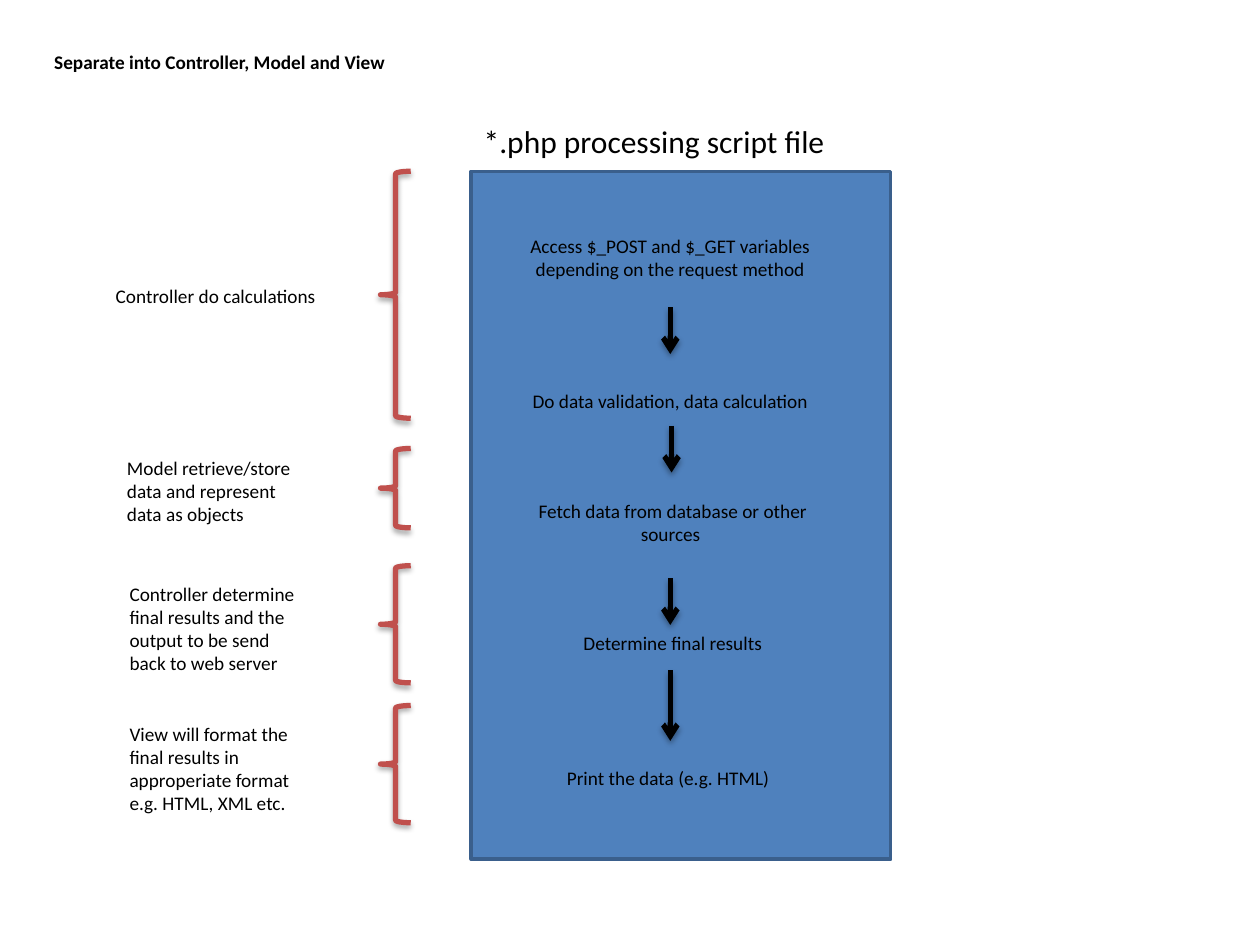
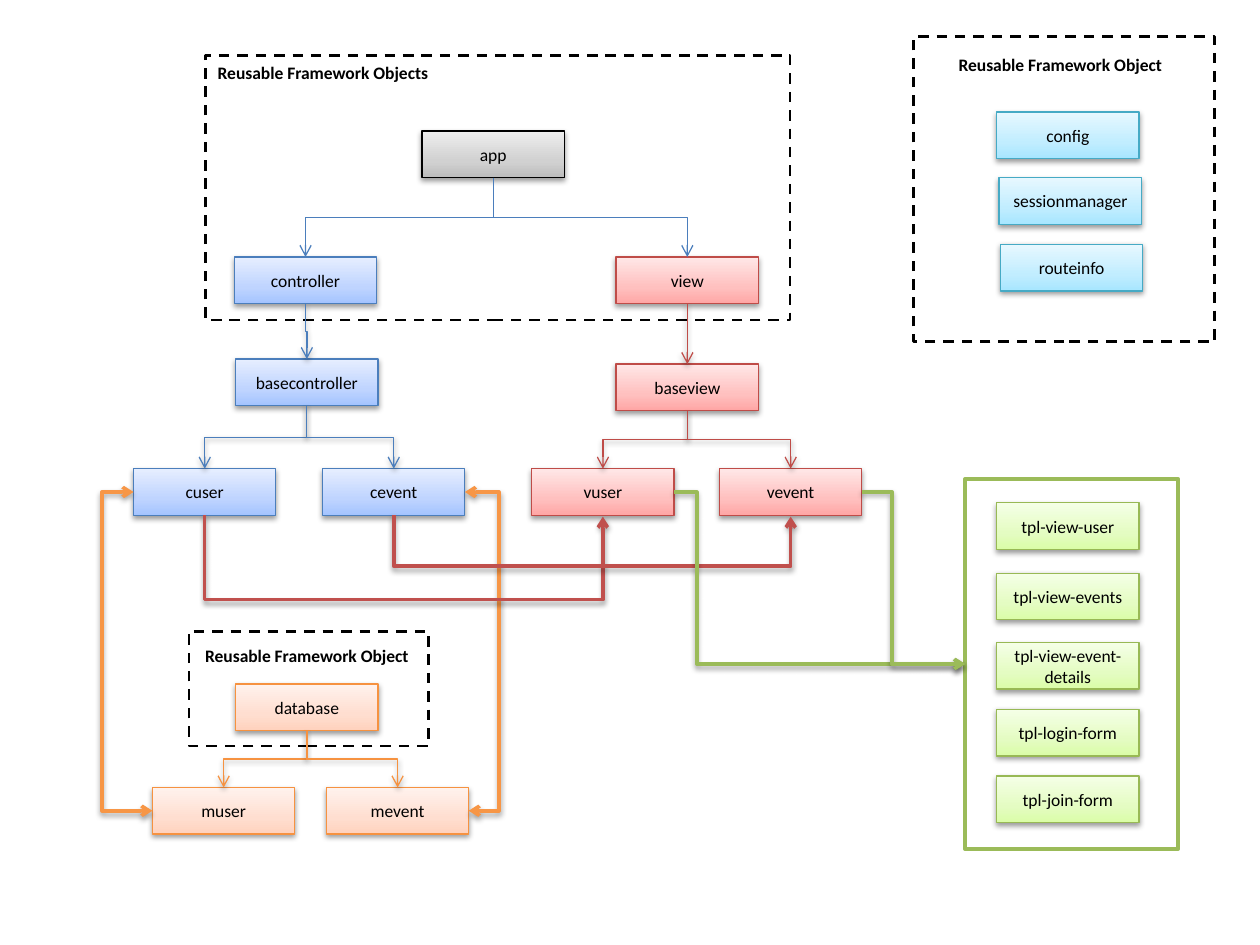
"""Build two slides on splitting a PHP script into controller, model and view."""
from copy import deepcopy

from lxml.etree import SubElement
from pptx import Presentation
from pptx.dml.color import RGBColor
from pptx.enum.dml import MSO_LINE
from pptx.enum.shapes import MSO_CONNECTOR as LINK, MSO_SHAPE as SHAPE
from pptx.enum.text import MSO_ANCHOR, MSO_AUTO_SIZE, PP_ALIGN
from pptx.oxml.ns import qn
from pptx.util import Inches, Pt

COLORS = {
    "black": "000000", "white": "FFFFFF",
    "script": "4F81BD", "script edge": "3A5F8C",
    "red": "C0504D", "green": "9BBB59", "orange": "F79646",
    "blue edge": "4B7EBC", "red edge": "BF4C48", "orange edge": "F69240",
    "cyan edge": "46AAC5", "green edge": "98B955",
}
GRADIENTS = {
    "black": ("BDBDBD", "D1D1D1", "EEEEEE"),
    "blue edge": ("A4C4FF", "BFD4FF", "E6EEFF"),
    "red edge": ("FFA6A5", "FFC0BF", "FFE7E7"),
    "orange edge": ("FFD2BD", "FFDED0", "FFF2ED"),
    "cyan edge": ("A7E6FF", "C1EDFF", "E7F8FF"),
    "green edge": ("DAFDA7", "E4FCC2", "F5FFE7"),
}
STOPS = (0, 0.35, 1)
STRONG = {"alpha": "35000", "dist": "23000"}
SOFT = {"alpha": "38000", "dist": "20000"}
TOP, LEFT, BOTTOM, RIGHT = range(4)


def write(box, text, size, bold=False, align=PP_ALIGN.LEFT, **frame_format):
    frame = box.text_frame
    for name, value in frame_format.items():
        setattr(frame, name, value)
    para = frame.paragraphs[0]
    para.alignment = align
    span = para.add_run()
    span.text = text
    for name, value in {"name": "Calibri", "size": Pt(size), "bold": bold}.items():
        setattr(span.font, name, value)
    span.font.color.rgb = RGBColor.from_string(COLORS["black"])


def outline(shape, color, width, shadow=None, ends=()):
    shape.line.color.rgb = RGBColor.from_string(COLORS[color])
    shape.line.width = Pt(width)
    properties = shape.element.spPr
    for end in ends:
        SubElement(properties.find(qn("a:ln")), qn(f"a:{end}"), type="arrow")
    effects = SubElement(properties, qn("a:effectLst"))
    if shadow:
        outer = SubElement(effects, qn("a:outerShdw"), blurRad="40000",
                           dist=shadow["dist"], dir="5400000", rotWithShape="0")
        black = SubElement(outer, qn("a:srgbClr"), val=COLORS["black"])
        SubElement(black, qn("a:alpha"), val=shadow["alpha"])


deck = Presentation()
deck.slide_width, deck.slide_height = Inches(10), Inches(7.5)
GROW = {"auto_size": MSO_AUTO_SIZE.SHAPE_TO_FIT_TEXT}

page = deck.slides.add_slide(deck.slide_layouts[5])
title = page.shapes.title
place = {"left": 0.33, "top": 0.35, "width": 2.87, "height": 0.29}
for name, value in place.items():
    setattr(title, name, Inches(value))
write(title, "Separate into Controller, Model and View", 11, bold=True,
      word_wrap=False, vertical_anchor=MSO_ANCHOR.TOP, **GROW)

script = page.shapes.add_shape(
    SHAPE.RECTANGLE, Inches(3.74), Inches(1.36), Inches(3.33), Inches(5.46))
script.fill.solid()
script.fill.fore_color.rgb = RGBColor.from_string(COLORS["script"])
outline(script, "script edge", 2)

heading = page.shapes.add_textbox(
    Inches(3.74), Inches(0.92), Inches(2.94), Inches(0.4))
write(heading, "*.php processing script file", 18, word_wrap=False, **GROW)

steps = [
    (4.04, 1.81, 0.47, "Access $_POST and $_GET variables depending on the request method"),
    (4.04, 3.04, 0.29, "Do data validation, data calculation"),
    (4.06, 3.91, 0.47, "Fetch data from database or other sources "),
    (4.06, 4.96, 0.29, "Determine final results"),
    (4.04, 6.03, 0.29, "Print the data (e.g. HTML) "),
]
for left, top, height, text in steps:
    box = page.shapes.add_textbox(
        Inches(left), Inches(top), Inches(2.56), Inches(height))
    write(box, text, 11, align=PP_ALIGN.CENTER, word_wrap=True, **GROW)

for x, start, end in [(5.32, 2.44, 2.81), (5.33, 3.38, 3.75),
                      (5.32, 4.59, 4.96), (5.32, 5.32, 5.88)]:
    arrow = page.shapes.add_connector(
        LINK.STRAIGHT, Inches(x), Inches(start), Inches(x), Inches(end))
    outline(arrow, "black", 3, STRONG, ["tailEnd"])

for top, height in [(1.36, 1.96), (3.56, 0.63), (4.49, 0.93), (5.6, 0.93)]:
    brace = page.shapes.add_shape(
        SHAPE.LEFT_BRACE, Inches(3.02), Inches(top), Inches(0.24), Inches(height))
    brace.fill.background()
    outline(brace, "red", 3, STRONG)

roles = [
    (0.82, 2.21, 1.8, 0.29, False, "Controller do calculations"),
    (0.91, 3.57, 1.63, 0.66, True, "Model retrieve/store data and represent data as objects"),
    (0.93, 4.57, 1.63, 0.84, True,
     "Controller determine final results and the output to be send back to web server"),
    (0.93, 5.68, 1.63, 0.84, True,
     "View will format the final results in approperiate format e.g. HTML, XML etc."),
]
for left, top, width, height, wrap, text in roles:
    box = page.shapes.add_textbox(
        Inches(left), Inches(top), Inches(width), Inches(height))
    write(box, text, 11, word_wrap=wrap, **GROW)

page = deck.slides.add_slide(deck.slide_layouts[6])
parts = {}
frames = [
    ("models", 1.5, 5.01, 1.9, 0.91, "black", 1.5),
    ("helpers", 7.25, 0.29, 2.39, 2.42, "black", 1.5),
    ("core", 1.63, 0.44, 4.64, 2.1, "black", 1.5),
    ("templates", 7.66, 3.8, 1.69, 2.94, "green", 2),
]
for name, left, top, width, height, color, weight in frames:
    frame = page.shapes.add_shape(
        SHAPE.RECTANGLE, Inches(left), Inches(top), Inches(width), Inches(height))
    frame.fill.solid()
    frame.fill.fore_color.rgb = RGBColor.from_string(COLORS["white"])
    if color == "black":
        frame.line.dash_style = MSO_LINE.DASH
    outline(frame, color, weight)
    parts[name] = frame

nodes = {
    "black": [("app", 3.35, 1.04)],
    "blue edge": [("controller", 1.86, 2.04), ("basecontroller", 1.87, 2.85),
                  ("cuser", 1.06, 3.72), ("cevent", 2.56, 3.72)],
    "red edge": [("view", 4.89, 2.04), ("baseview", 4.89, 2.89),
                 ("vuser", 4.22, 3.72), ("vevent", 5.71, 3.72)],
    "orange edge": [("database", 1.87, 5.43), ("muser", 1.21, 6.25),
                    ("mevent", 2.59, 6.25)],
    "cyan edge": [("config", 7.91, 0.89), ("sessionmanager", 7.93, 1.41),
                  ("routeinfo", 7.94, 1.94)],
    "green edge": [("tpl-view-user", 7.91, 3.99), ("tpl-view-events", 7.91, 4.55),
                   ("tpl-view-event-details", 7.91, 5.1),
                   ("tpl-login-form", 7.91, 5.63), ("tpl-join-form", 7.91, 6.16)],
}
for color, group in nodes.items():
    for name, left, top in group:
        node = page.shapes.add_shape(
            SHAPE.RECTANGLE, Inches(left), Inches(top), Inches(1.13), Inches(0.37))
        node.fill.gradient()
        node.fill.gradient_angle = 90
        stop_list = node.element.spPr.find(".//" + qn("a:gsLst"))
        stop_list.insert(1, deepcopy(stop_list[0]))
        for stop, position, shade in zip(node.fill.gradient_stops, STOPS, GRADIENTS[color]):
            stop.position = position
            stop.color.rgb = RGBColor.from_string(shade)
        outline(node, color, 0.75, SOFT)
        write(node, name, 10, align=PP_ALIGN.CENTER, word_wrap=True,
              vertical_anchor=MSO_ANCHOR.MIDDLE)
        parts[name] = node

tree = [
    ("app", "controller", "blue edge", None), ("app", "view", "blue edge", None),
    ("controller", "basecontroller", "blue edge", SOFT),
    ("view", "baseview", "red edge", SOFT),
    ("basecontroller", "cuser", "blue edge", SOFT),
    ("basecontroller", "cevent", "blue edge", SOFT),
    ("baseview", "vuser", "red edge", SOFT), ("baseview", "vevent", "red edge", SOFT),
    ("database", "muser", "orange edge", SOFT),
    ("database", "mevent", "orange edge", SOFT),
]
ONE_WAY, TWO_WAY = ["tailEnd"], ["headEnd", "tailEnd"]
links = [(a, BOTTOM, b, TOP, None, color, 0.75, shadow, ONE_WAY)
         for a, b, color, shadow in tree]
links += [(a, from_site, b, to_site, bend, color, 2, SOFT, ends)
          for a, from_site, b, to_site, bend, color, ends in [
              ("cuser", LEFT, "muser", LEFT, 0.81, "orange", TWO_WAY),
              ("cevent", RIGHT, "mevent", RIGHT, 3.96, "orange", TWO_WAY),
              ("cuser", BOTTOM, "vuser", BOTTOM, 4.77, "red", ONE_WAY),
              ("cevent", BOTTOM, "vevent", BOTTOM, 4.5, "red", ONE_WAY),
              ("vuser", RIGHT, "templates", LEFT, 5.53, "green", ONE_WAY),
              ("vevent", RIGHT, "templates", LEFT, 7.08, "green", ONE_WAY)]]
for a, from_site, b, to_site, bend, color, weight, shadow, ends in links:
    link = page.shapes.add_connector(LINK.ELBOW, 0, 0, 0, 0)
    link.begin_connect(parts[a], from_site)
    link.end_connect(parts[b], to_site)
    x, y = link.begin_x, link.begin_y
    across, down = link.end_x - x, link.end_y - y
    transform = link.element.spPr.find(qn("a:xfrm"))
    transform.attrib.clear()
    if from_site == BOTTOM:
        start, run, side = y, max(down, Inches(0.01)), abs(across)
        link.left = x + (across - run) // 2
        link.top = y + (run - side) // 2
        transform.set("rot", "16200000" if across > 0 else "5400000")
        if across > 0:
            transform.set("flipH", "1")
    else:
        start, run, side = x, across, down
        link.left, link.top = x, y
    link.width, link.height = run, side
    if bend:
        ratio = round((Inches(bend) - start) / run * 100000)
        SubElement(link.element.spPr.find(".//" + qn("a:avLst")), qn("a:gd"),
                   name="adj1", fmla=f"val {ratio}")
    outline(link, color, weight, shadow, ends)

for left, top, wrap, text in [(7.51, 0.38, True, "Reusable Framework Object"),
                              (1.63, 0.44, False, "Reusable Framework Objects"),
                              (1.53, 5.07, True, "Reusable Framework Object")]:
    label = page.shapes.add_textbox(
        Inches(left), Inches(top), Inches(1.9), Inches(0.27))
    write(label, text, 10, bold=True, word_wrap=wrap, **GROW)

deck.save("out.pptx")
